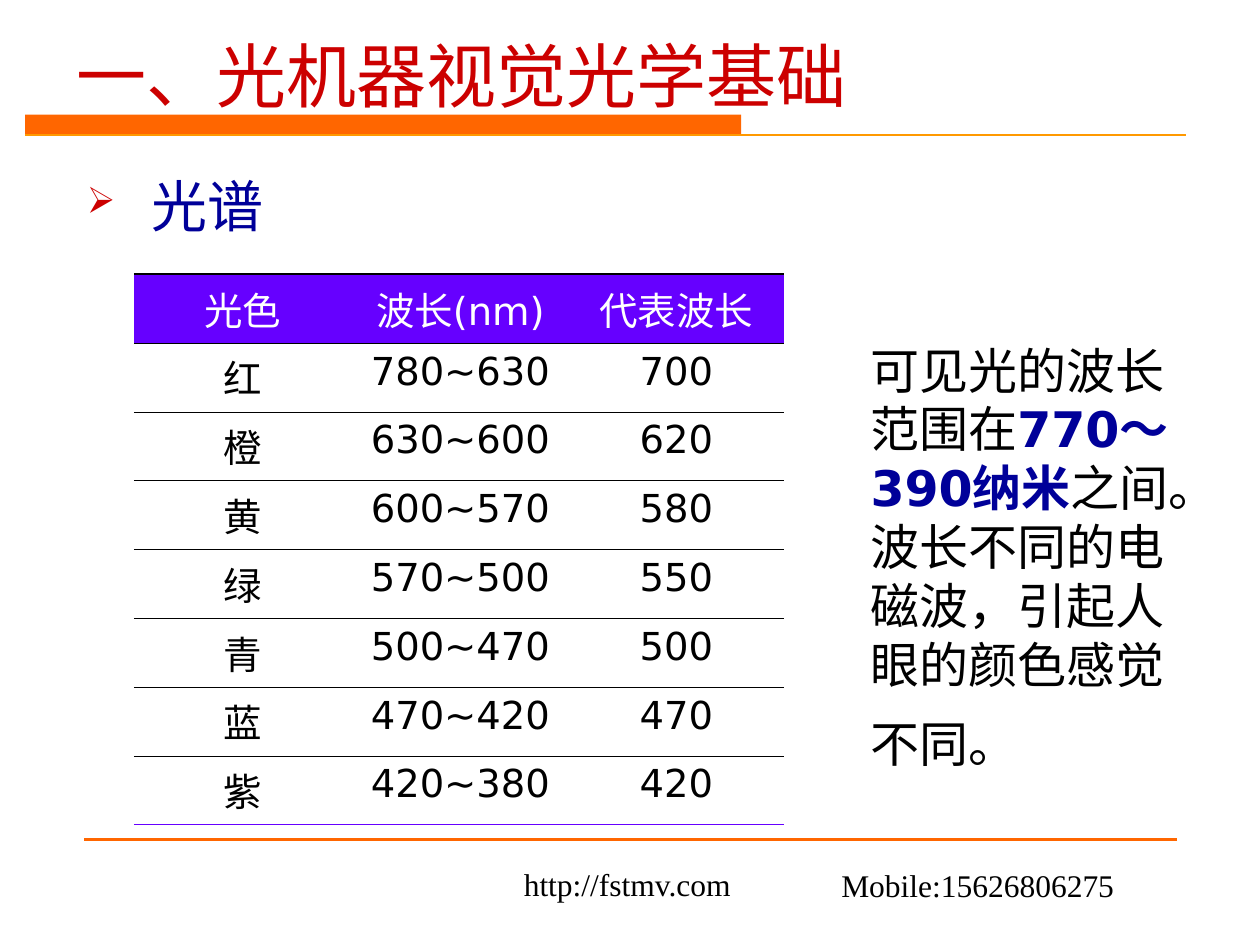
from lxml import etree
from pptx import Presentation
from pptx.dml.color import RGBColor
from pptx.enum.shapes import MSO_CONNECTOR, MSO_SHAPE
from pptx.enum.text import MSO_ANCHOR, PP_ALIGN
from pptx.oxml.ns import qn
from pptx.util import Cm, Pt

STRAIGHT = MSO_CONNECTOR.STRAIGHT
RECTANGLE = MSO_SHAPE.RECTANGLE
TOP, MIDDLE = MSO_ANCHOR.TOP, MSO_ANCHOR.MIDDLE
LEFT, CENTER = PP_ALIGN.LEFT, PP_ALIGN.CENTER

BLACK, WHITE, RED, NAVY = "000000", "FFFFFF", "CC0000", "000099"
ORANGE, AMBER, VIOLET = "FF6600", "FF9900", "6600FF"
SANS, HEADING, SERIF = "DejaVu Sans", "Arial", "Times New Roman"

SPECTRUM = [
    ("光色", "波长(nm)", "代表波长"),
    ("红", "780~630", "700"),
    ("橙", "630~600", "620"),
    ("黄", "600~570", "580"),
    ("绿", "570~500", "550"),
    ("青", "500~470", "500"),
    ("蓝", "470~420", "470"),
    ("紫", "420~380", "420"),
]


def color(value):
    return RGBColor.from_string(value)


def add_run(paragraph, text, size, font, fill, bold=False):
    run = paragraph.add_run()
    run.text = text
    run.font.size = Pt(size)
    run.font.name = font
    run.font.bold = bold
    run.font.color.rgb = color(fill)


def add_text(slide, box, runs, wrap=True, anchor=TOP):
    shape = slide.shapes.add_textbox(*map(Cm, box))
    frame = shape.text_frame
    frame.word_wrap = wrap
    frame.vertical_anchor = anchor
    paragraph = frame.paragraphs[0]
    paragraph.alignment = LEFT
    for run in runs:
        add_run(paragraph, *run)
    return paragraph


def add_line(slide, left, right, y, fill, width):
    line = slide.shapes.add_connector(STRAIGHT, Cm(left), Cm(y), Cm(right), Cm(y))
    line.line.color.rgb = color(fill)
    line.line.width = Pt(width)
    etree.SubElement(line._element.spPr, qn("a:effectLst"))


def add_heading(slide, box):
    left, top, width, height = box
    bar_top, bar_height = top + 1.78, 0.41
    bar = slide.shapes.add_shape(
        RECTANGLE, Cm(left), Cm(bar_top), Cm(14.43), Cm(bar_height))
    bar.shadow.inherit = False
    bar.fill.solid()
    bar.fill.fore_color.rgb = color(ORANGE)
    bar.line.fill.background()
    add_line(slide, left, left + width, bar_top + bar_height, AMBER, 0.75)
    add_text(slide, (left + 0.79, top, 22.86, height),
             [("一、光机器视觉光学基础", 40, HEADING, RED)])


def add_bullet(slide, box):
    paragraph = add_text(slide, box, [("光谱", 32, HEADING, NAVY)])
    properties = paragraph._p.get_or_add_pPr()
    properties.set("marL", str(Cm(1.3)))
    properties.set("indent", str(-Cm(1.3)))
    bullet_color = etree.SubElement(properties, qn("a:buClr"))
    etree.SubElement(bullet_color, qn("a:srgbClr"), val=RED)
    etree.SubElement(properties, qn("a:buSzPct"), val="65000")
    etree.SubElement(properties, qn("a:buChar"), char="➢")


def set_border(cell, side, fill, width):
    properties = cell._tc.get_or_add_tcPr()
    border = etree.Element(qn(f"a:{side}"), w=str(Pt(width)))
    if fill:
        solid = etree.SubElement(border, qn("a:solidFill"))
        etree.SubElement(solid, qn("a:srgbClr"), val=fill)
    else:
        etree.SubElement(border, qn("a:noFill"))
    properties.insert(len(properties) - 1, border)


def add_spectrum_table(slide, box):
    left, top, width, height = map(Cm, box)
    last = len(SPECTRUM) - 1
    table = slide.shapes.add_table(
        len(SPECTRUM), len(SPECTRUM[0]), left, top, width, height).table
    for column, column_width in zip(table.columns, (4.39, 4.38, 4.33)):
        column.width = Cm(column_width)
    for row_index, texts in enumerate(SPECTRUM):
        header = row_index == 0
        for column_index, text in enumerate(texts):
            cell = table.cell(row_index, column_index)
            if header:
                cell.fill.solid()
                cell.fill.fore_color.rgb = color(VIOLET)
            else:
                cell.fill.background()
            set_border(cell, "lnL", None, 0)
            set_border(cell, "lnR", None, 0)
            set_border(cell, "lnT", BLACK, 1.08 if header else 0.45)
            set_border(cell, "lnB", VIOLET if row_index == last else BLACK, 0.45)
            paragraph = cell.text_frame.paragraphs[0]
            paragraph.alignment = CENTER
            add_run(paragraph, text, 22, SANS, WHITE if header else BLACK)


def add_explanation(slide, box):
    add_text(slide, box, [
        ("可见光的波长范围在", 28, SANS, BLACK),
        ("770～390纳米", 28, SANS, NAVY, True),
        ("之间。波长不同的电磁波，引起人眼的颜色感觉不同。", 28, SANS, BLACK),
        (" ", 40, SANS, BLACK),
    ])


def add_footer(slide, box):
    left, top, width, height = box
    add_line(slide, left, left + width, top, ORANGE, 1.5)
    text_top = top + 0.4
    add_text(slide, (left + 8.61, text_top, 4.72, height),
             [("http://fstmv.com", 18, SERIF, BLACK)], wrap=False)
    add_text(slide, (left + 15.01, text_top, 6.17, height),
             [("Mobile:15626806275", 18, SERIF, BLACK)], wrap=False, anchor=MIDDLE)


def main():
    presentation = Presentation()
    presentation.slide_width = Cm(25.4)
    presentation.slide_height = Cm(19.05)
    slide = presentation.slides.add_slide(presentation.slide_layouts[6])
    add_footer(slide, (1.7, 16.92, 22.02, 1.02))
    add_heading(slide, (0.51, 0.53, 23.39, 2.21))
    add_bullet(slide, (1.5, 3.33, 22.86, 12.57))
    add_spectrum_table(slide, (2.7, 5.53, 13.1, 11.1))
    add_explanation(slide, (17.3, 6.73, 7.21, 9.07))
    presentation.save("out.pptx")


if __name__ == "__main__":
    main()
